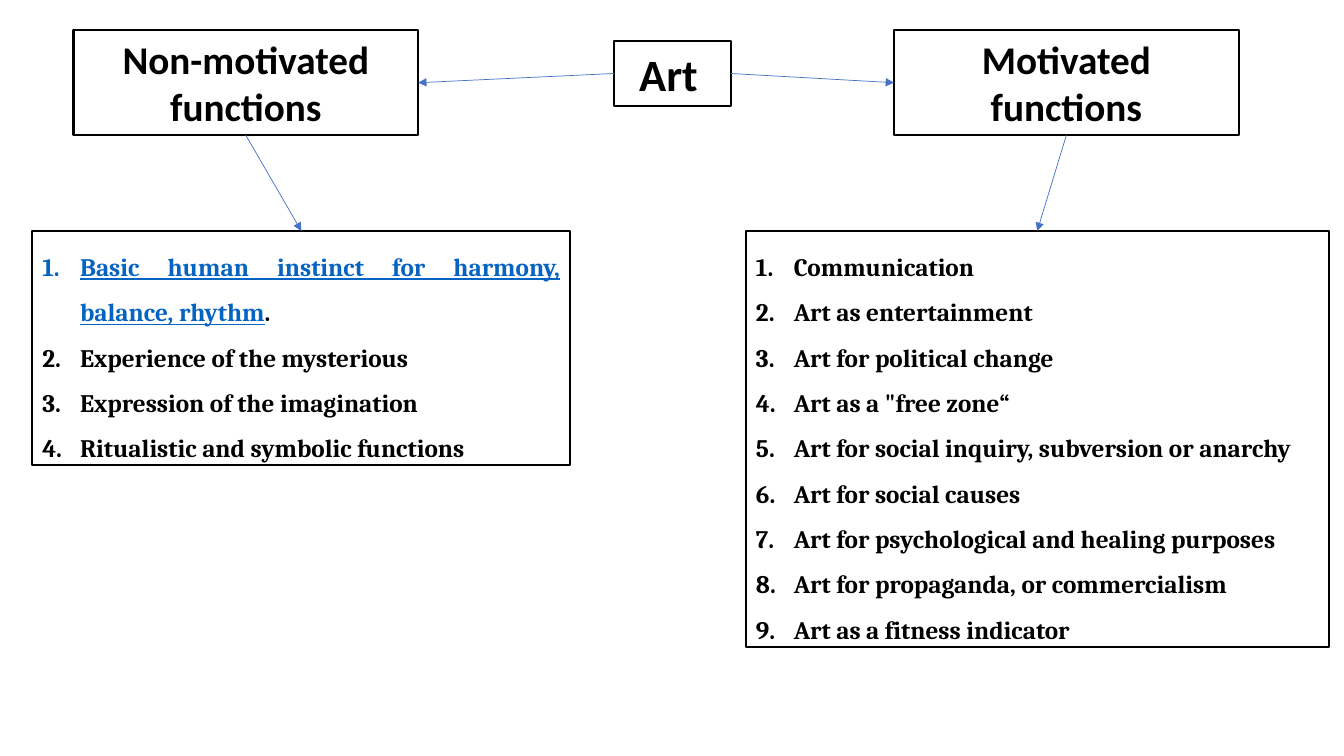
import pptx
import pptx.util
import pptx.dml.color
import pptx.enum.shapes
import pptx.enum.text
import pptx.oxml.ns
import lxml.etree

Pt = pptx.util.Pt
Align = pptx.enum.text.PP_ALIGN

BLACK, LINK, BLUE = "000000", "0563C1", "4472C4"
ROOT = (438.5, 29.5, 83.5, 46)
HEAD_Y, HEAD_W, HEAD_H = 21.6, 246.2, 75
LIST_Y = 165

SIDES = [
    {
        "head": "Non-motivated functions",
        "head_x": 52.5,
        "list": (23, 384.5, 167),
        "items": [
            [("Basic human instinct for harmony, balance, rhythm", LINK), (".\u00a0".replace("\u00a0", " "), BLACK)],
            [("Experience of the mysterious", BLACK)],
            [("Expression of the imagination", BLACK)],
            [("Ritualistic and symbolic functions", BLACK)],
        ],
    },
    {
        "head": "Motivated functions",
        "head_x": 638.6,
        "list": (532.8, 416.2, 297.4),
        "items": [
            [(text, BLACK)]
            for text in (
                "Communication",
                "Art as entertainment",
                "Art for political change",
                'Art as a "free zone“',
                "Art for social inquiry, subversion or anarchy",
                "Art for social causes",
                "Art for psychological and healing purposes",
                "Art for propaganda, or commercialism",
                "Art as a fitness indicator",
            )
        ],
    },
]


def color(code):
    return pptx.dml.color.RGBColor.from_string(code)


def add_sub(node, tag, **attrs):
    return lxml.etree.SubElement(node, pptx.oxml.ns.qn(tag), attrs)


def set_box(box, x, y, w, h):
    box.left, box.top, box.width, box.height = Pt(x), Pt(y), Pt(w), Pt(h)
    box.fill.background()
    box.line.color.rgb = color(BLACK)
    box.line.width = Pt(1.5)
    frame = box.text_frame
    frame.word_wrap = True
    frame.auto_size = pptx.enum.text.MSO_AUTO_SIZE.NONE
    frame.vertical_anchor = pptx.enum.text.MSO_ANCHOR.TOP
    return frame


def set_par(par, align, space):
    par.alignment = align
    par.line_spacing = space
    par.space_before = par.space_after = Pt(0)


def add_run(par, text, size, face, code=BLACK):
    run = par.add_run()
    run.text = text
    font = run.font
    font.size, font.name, font.bold = Pt(size), face, True
    font.color.rgb = color(code)
    font.underline = code == LINK


def set_head(box, place, runs):
    par = set_box(box, *place).paragraphs[0]
    set_par(par, Align.CENTER, 1.0)
    for text, size in runs:
        add_run(par, text, size, "Calibri")


def set_list(box, place, items):
    frame = set_box(box, *place)
    for i, runs in enumerate(items):
        par = frame.add_paragraph() if i else frame.paragraphs[0]
        set_par(par, Align.JUSTIFY, 1.5)
        props = par._p.get_or_add_pPr()
        props.set("marL", str(Pt(27)))
        props.set("indent", str(-Pt(27)))
        add_sub(props, "a:buFont", typeface="+mj-lt")
        add_sub(props, "a:buAutoNum", type="arabicPeriod")
        for text, code in runs:
            add_run(par, text, 18, "Cambria", code)


def join(slide, start, exit_at, end, enter_at):
    kind = pptx.enum.shapes.MSO_CONNECTOR.STRAIGHT
    link = slide.shapes.add_connector(kind, 0, 0, 0, 0)
    link.begin_connect(start, exit_at)
    link.end_connect(end, enter_at)
    link.line.color.rgb = color(BLUE)
    link.line.width = Pt(0.5)
    add_sub(link.line._get_or_add_ln(), "a:tailEnd", type="triangle")
    add_sub(link._element.spPr, "a:effectLst")


def main():
    deck = pptx.Presentation()
    deck.slide_width, deck.slide_height = Pt(960), Pt(540)
    slide = deck.slides.add_slide(deck.slide_layouts.get_by_name("Comparison"))
    root, *boxes = slide.placeholders
    set_head(root, ROOT, [("Art", 32), (" ", 24)])
    for i, side in enumerate(SIDES):
        head, body = boxes[2 * i:2 * i + 2]
        set_head(head, (side["head_x"], HEAD_Y, HEAD_W, HEAD_H), [(side["head"], 28)])
        x, w, h = side["list"]
        set_list(body, (x, LIST_Y, w, h), side["items"])
        out, back = ((1, 3), (3, 1))[i]
        join(slide, root, out, head, back)
        join(slide, head, 2, body, 0)
    deck.save("out.pptx")


if __name__ == "__main__":
    main()
